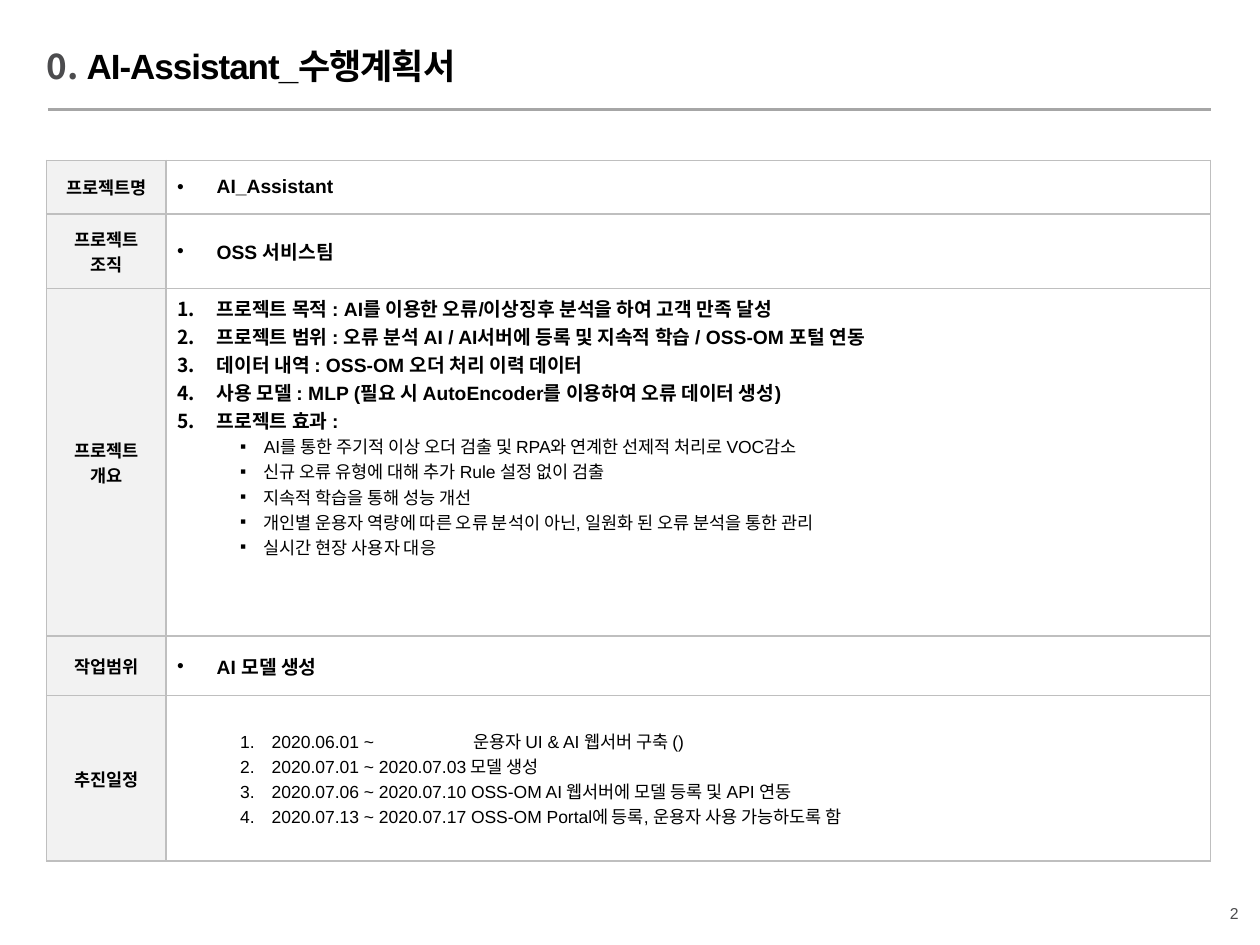
from lxml.etree import SubElement
from pptx import Presentation
from pptx.dml.color import RGBColor
from pptx.enum.shapes import MSO_CONNECTOR
from pptx.enum.text import MSO_ANCHOR, PP_ALIGN
from pptx.oxml import parse_xml
from pptx.oxml.ns import nsdecls, qn
from pptx.util import Pt

KOREAN = "Noto Sans CJK KR"
hex_color = RGBColor.from_string


def add_run(paragraph, text, size, color="000000", bold=False, font="Arial", spacing=0):
    run = paragraph.add_run()
    run.text = text
    run.font.size = Pt(size)
    run.font.bold = bold
    run.font.color.rgb = hex_color(color)
    run.font.name = font
    properties = run.font._element
    SubElement(properties, qn("a:ea"), typeface=KOREAN)
    if spacing:
        properties.set("spc", str(round(spacing * 100)))


def set_bullet(paragraph, bullet, left, hanging, font):
    properties = paragraph._p.get_or_add_pPr()
    properties.set("marL", str(Pt(left)))
    properties.set("indent", str(-Pt(hanging)))
    SubElement(properties, qn("a:buFont"), typeface=font)
    if bullet == "1.":
        SubElement(properties, qn("a:buAutoNum"), type="arabicPeriod")
    else:
        SubElement(properties, qn("a:buChar"), char=bullet)


presentation = Presentation()
presentation.slide_width = Pt(720)
presentation.slide_height = Pt(540)
slide = presentation.slides.add_slide(presentation.slide_layouts[5])

# Title
title = slide.shapes.title
title.left, title.top, title.width, title.height = Pt(26.6), Pt(28), Pt(642), Pt(34.6)
heading = title.text_frame
heading.margin_left = heading.margin_right = heading.margin_top = heading.margin_bottom = 0
heading.vertical_anchor = MSO_ANCHOR.TOP
heading.word_wrap = True
heading_line = heading.paragraphs[0]
heading_line.alignment = PP_ALIGN.LEFT
heading_line.line_spacing = 0.9
add_run(heading_line, "0. ", 20, "4C4C4E", True, KOREAN)
add_run(heading_line, "AI-Assistant_수행계획서", 20, bold=True, spacing=-0.6)

# Rule under the title
rule = slide.shapes.add_connector(MSO_CONNECTOR.STRAIGHT, Pt(27.4), Pt(62.5), Pt(692), Pt(62.5))
rule.line.color.rgb = hex_color("A6A6A6")
rule.line.width = Pt(2)
SubElement(rule._element.spPr, qn("a:effectLst"))

# Plan content: bullet levels are (bullet, left, hanging, bullet font, size, bold)
POINT = ("•", 22.5, 22.5, "Arial", 11, True)
NUMBER = ("1.", 22.5, 22.5, KOREAN, 11, True)
EFFECT = ("▪", 49.5, 13.5, "Arial", 10, False)
DATE = ("1.", 54, 18, "Arial", 10, False)
plan = [
    ("프로젝트명", 30.8, [(POINT, ["AI_Assistant"])]),
    ("프로젝트 조직", 42.4, [(POINT, ["OSS 서비스팀"])]),
    ("프로젝트 개요", 198.8, [
        (NUMBER, [
            "프로젝트 목적 : AI를 이용한 오류/이상징후 분석을 하여 고객 만족 달성",
            "프로젝트 범위 : 오류 분석 AI / AI서버에 등록 및 지속적 학습 / OSS-OM 포털 연동",
            "데이터 내역 : OSS-OM 오더 처리 이력 데이터",
            "사용 모델 : MLP (필요 시 AutoEncoder를 이용하여 오류 데이터 생성)",
            "프로젝트 효과 :",
        ]),
        (EFFECT, [
            "AI를 통한 주기적 이상 오더 검출 및 RPA와 연계한 선제적 처리로 VOC감소",
            "신규 오류 유형에 대해 추가 Rule 설정 없이 검출",
            "지속적 학습을 통해 성능 개선",
            "개인별 운용자 역량에 따른 오류 분석이 아닌, 일원화 된 오류 분석을 통한 관리",
            "실시간 현장 사용자 대응",
        ]),
    ]),
    ("작업범위", 34, [(POINT, ["AI 모델 생성"])]),
    ("추진일정", 94.6, [
        (DATE, [
            ("2020.06.01 ~", "운용자 UI & AI 웹서버 구축 ()"),
            "2020.07.01 ~ 2020.07.03 모델 생성",
            "2020.07.06 ~ 2020.07.10 OSS-OM AI 웹서버에 모델 등록 및 API 연동",
            "2020.07.13 ~ 2020.07.17 OSS-OM Portal에 등록, 운용자 사용 가능하도록 함",
        ]),
    ]),
]
OPEN_DATE_GAP = 54

# Plan table
plan_height = sum(height for _, height, _ in plan)
table = slide.shapes.add_table(len(plan), 2, Pt(26.6), Pt(91.6), Pt(665.2), Pt(plan_height)).table
table.first_row = table.horz_banding = False
table.columns[0].width = Pt(68.4)
table.columns[1].width = Pt(596.8)

for row, (label, height, sections) in enumerate(plan):
    table.rows[row].height = Pt(height)
    label_cell, content_cell = table.cell(row, 0), table.cell(row, 1)

    # Borders, margins and fills
    for cell in (label_cell, content_cell):
        cell.margin_left = cell.margin_right = Pt(6.3)
        cell.margin_top = cell.margin_bottom = Pt(3.2)
        cell.vertical_anchor = MSO_ANCHOR.MIDDLE
        for side in ("lnL", "lnR", "lnT", "lnB"):
            cell._tc.get_or_add_tcPr().append(parse_xml(
                f'<a:{side} {nsdecls("a")} w="{Pt(1)}"><a:solidFill>'
                f'<a:srgbClr val="BFBFBF"/></a:solidFill></a:{side}>'))
    label_cell.fill.solid()
    label_cell.fill.fore_color.rgb = hex_color("F2F2F2")
    content_cell.fill.background()
    if len(sections) > 1:
        content_cell.vertical_anchor = MSO_ANCHOR.TOP

    # Label
    label_line = label_cell.text_frame.paragraphs[0]
    label_line.alignment = PP_ALIGN.CENTER
    add_run(label_line, label, 10, bold=True)

    # Content
    content = content_cell.text_frame
    line = content.paragraphs[0]
    for (bullet, left, hanging, bullet_font, size, bold), items in sections:
        for item in items:
            if line.runs:
                line = content.add_paragraph()
            set_bullet(line, bullet, left, hanging, bullet_font)
            if isinstance(item, tuple):
                start, task = item
                add_run(line, start, size, bold=bold)
                add_run(line, " ", size, bold=bold, spacing=OPEN_DATE_GAP)
                add_run(line, task, size, bold=bold)
            else:
                add_run(line, item, size, bold=bold)

# Page number
page_number = slide.shapes.add_textbox(Pt(693.4), Pt(512.6), Pt(23.8), Pt(18)).text_frame
page_number.word_wrap = False
page_line = page_number.paragraphs[0]
page_line.alignment = PP_ALIGN.CENTER
add_run(page_line, "2", 9, "4C4C4E", spacing=-0.6)

presentation.save("out.pptx")
